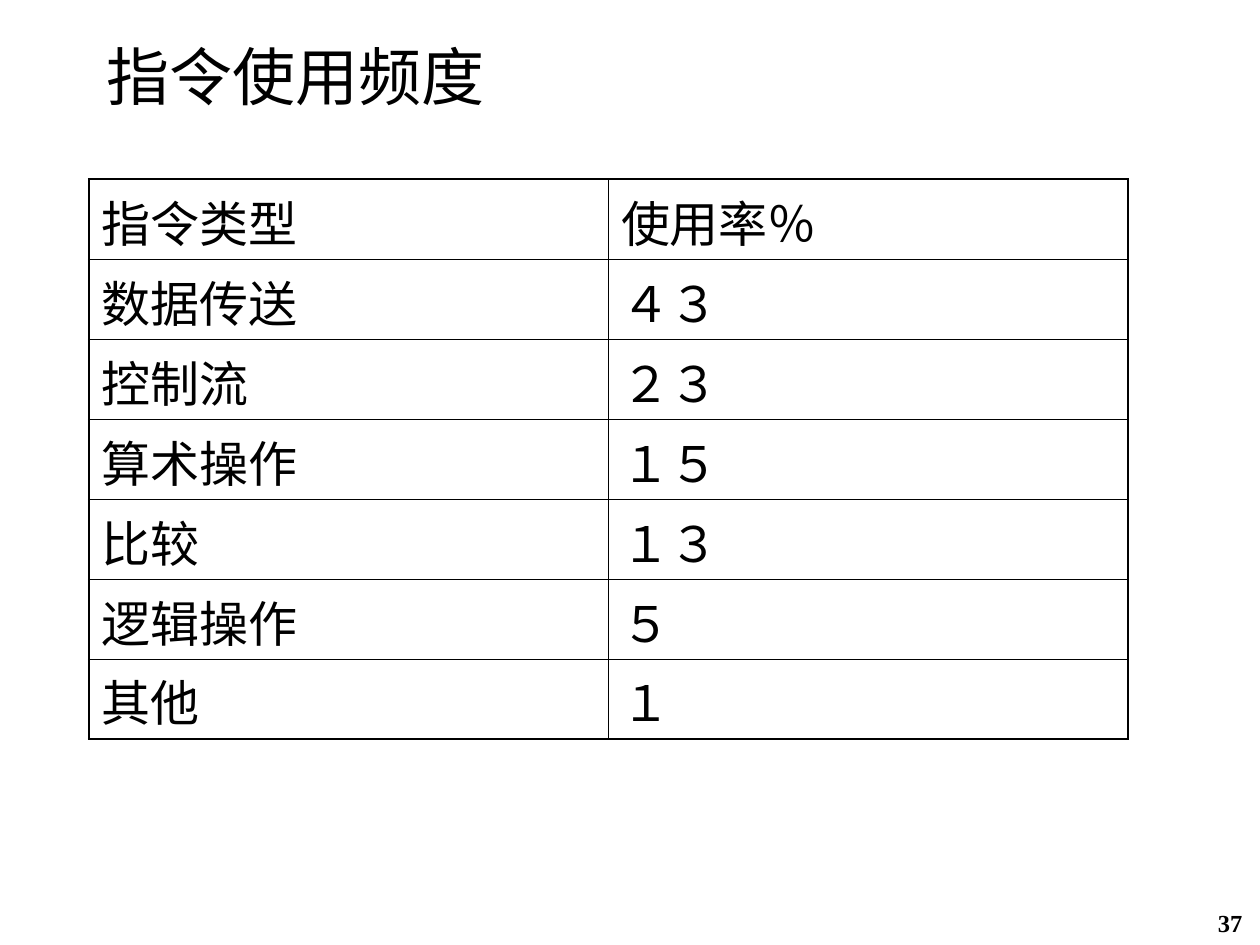
from pptx import Presentation
from pptx.util import Pt
from pptx.dml.color import RGBColor
from pptx.enum.text import PP_ALIGN, MSO_ANCHOR
from pptx.oxml.ns import qn
from lxml.etree import SubElement

COLORS = {"ink": "000000", "number": "010000"}
TITLE = "指令使用频度"
PAGE = "37"
ROWS = [
    ("指令类型", "使用率％"),
    ("数据传送", "４３"),
    ("控制流", "２３"),
    ("算术操作", "１５"),
    ("比较", "１３"),
    ("逻辑操作", "５"),
    ("其他", "１"),
]
FORMATS = {
    "title": {"name": "TeX Gyre Adventor", "size": Pt(36), "bold": False},
    "cell": {"name": "Arial", "size": Pt(28), "bold": False},
    "page": {"name": "Times New Roman", "size": Pt(14), "bold": True},
}
LEFT, TOP, WIDTH, HEIGHT = 50.7, 102.4, 594, 320
OUTER, INNER = 1.08, 0.45


def write(tf, text, style, color, align=PP_ALIGN.LEFT):
    tf.word_wrap = True
    p = tf.paragraphs[0]
    p.alignment = align
    r = p.add_run()
    r.text = text
    for key, value in FORMATS[style].items():
        setattr(r.font, key, value)
    r.font.color.rgb = RGBColor.from_string(COLORS[color])
    return p


def add_text(s, box, text, style, color, align=PP_ALIGN.LEFT):
    tf = s.shapes.add_textbox(*map(Pt, box)).text_frame
    tf.vertical_anchor = MSO_ANCHOR.TOP
    write(tf, text, style, color, align)


def set_borders(cell, widths):
    tcPr = cell._tc.get_or_add_tcPr()
    for i, (side, width) in enumerate(widths.items()):
        ln = tcPr.makeelement(qn(f"a:{side}"), {"w": str(int(Pt(width)))})
        fill = SubElement(ln, qn("a:solidFill"))
        SubElement(fill, qn("a:srgbClr"), val=COLORS["ink"])
        tcPr.insert(i, ln)


def add_grid(s):
    n_rows, n_cols = len(ROWS), len(ROWS[0])
    frame = s.shapes.add_table(n_rows, n_cols, *map(Pt, (LEFT, TOP, WIDTH, HEIGHT)))
    table = frame.table
    table.first_row = table.horz_banding = False
    for col in table.columns:
        col.width = Pt(WIDTH / n_cols)
    for i, row in enumerate(ROWS):
        table.rows[i].height = Pt(HEIGHT / n_rows)
        for j, text in enumerate(row):
            cell = table.cell(i, j)
            cell.fill.background()
            cell.margin_left = cell.margin_right = Pt(7.2)
            cell.margin_top = cell.margin_bottom = Pt(3.6)
            write(cell.text_frame, text, "cell", "ink").space_before = Pt(17.5)
            edges = {"lnL": j == 0, "lnR": j == n_cols - 1,
                     "lnT": i == 0, "lnB": i == n_rows - 1}
            set_borders(cell, {k: OUTER if edge else INNER for k, edge in edges.items()})


prs = Presentation()
prs.slide_width, prs.slide_height = Pt(720), Pt(540)
s = prs.slides.add_slide(prs.slide_layouts[6])
add_text(s, (662.4, 515.5, 54.7, 24.5), PAGE, "page", "number", PP_ALIGN.RIGHT)
add_text(s, (54, 18, 612, 90), TITLE, "title", "ink")
add_grid(s)
prs.save("out.pptx")
